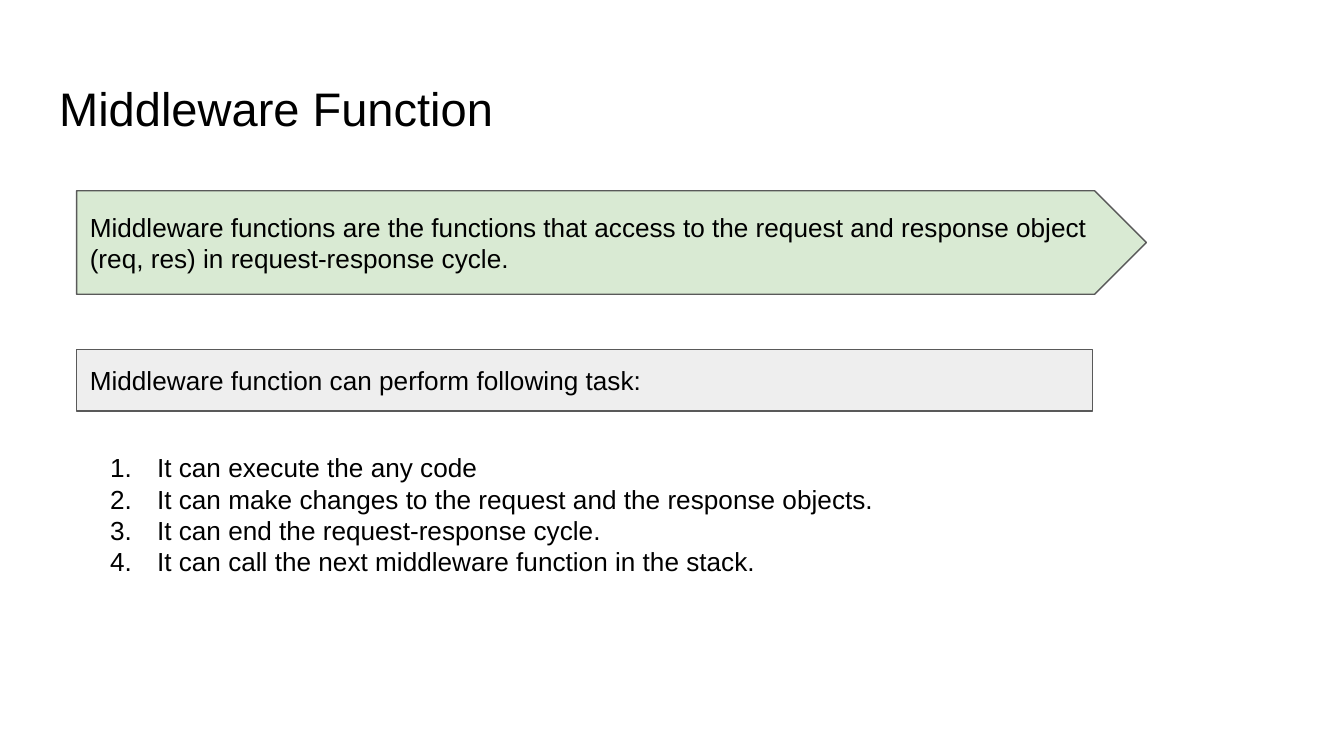
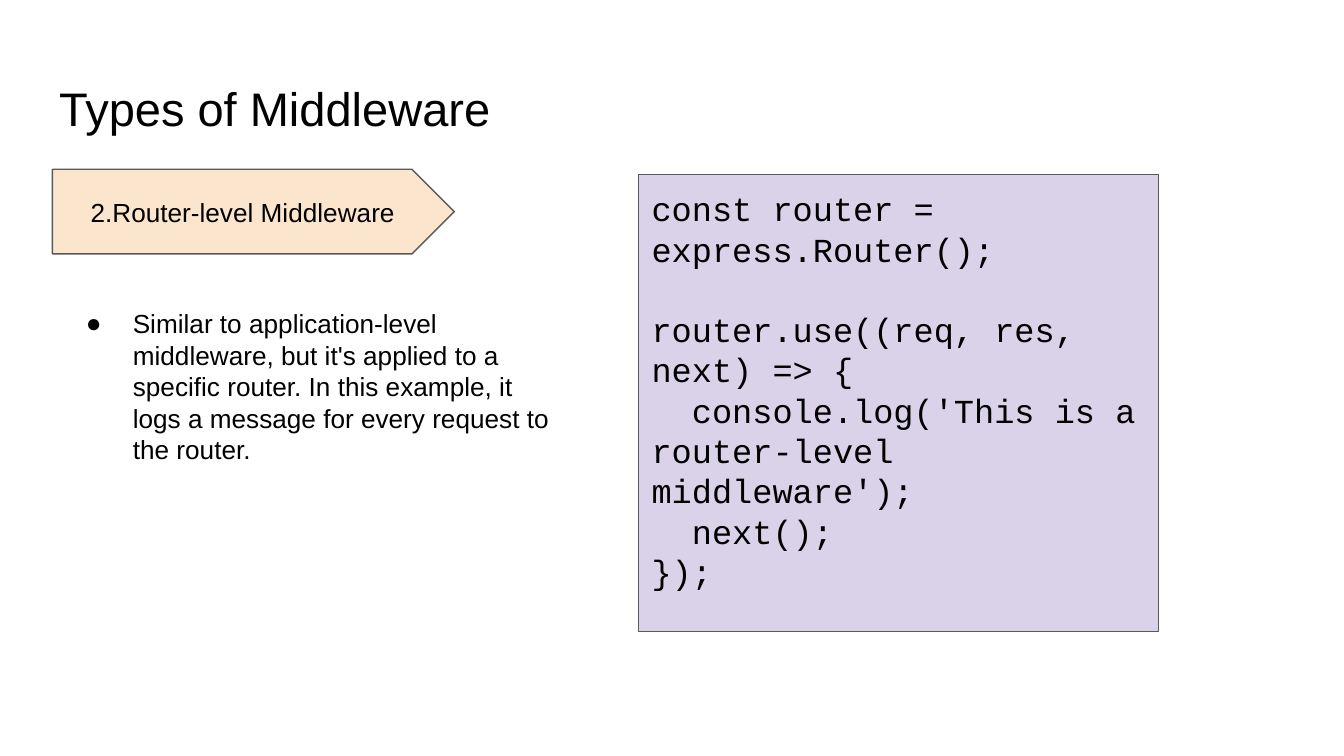
from lxml import etree
from pptx import Presentation
from pptx import util as u
from pptx.dml.color import RGBColor
from pptx.enum import shapes, text
from pptx.oxml import ns

INK, OUTLINE = "000000", "595959"
GREEN, GREY, PEACH, LILAC = "D9EAD3", "EEEEEE", "FCE5CD", "D9D2E9"
TITLE = {"name": "Arial", "size": u.Pt(25.2)}
BODY = {"name": "Arial", "size": u.Pt(14)}
CODE = {"name": "Courier New", "size": u.Pt(18)}
CODE_LINE = u.Pt(21.6)
TITLE_BOX = (0.34, 0.49, 9.32, 0.63)
ARROW, RECT = shapes.MSO_SHAPE.PENTAGON, shapes.MSO_SHAPE.RECTANGLE
LEFT, CENTER = text.PP_ALIGN.LEFT, text.PP_ALIGN.CENTER
TOP, MIDDLE = text.MSO_ANCHOR.TOP, text.MSO_ANCHOR.MIDDLE
NUMBER = ("a:buAutoNum", {"type": "arabicPeriod"})
DOT = ("a:buChar", {"char": "●"})


def color(value):
    return RGBColor.from_string(value)


def inches(box):
    return [u.Inches(length) for length in box]


def write(frame, lines, style, align=LEFT, anchor=TOP):
    """Fill a text frame with one paragraph per line and return the paragraphs."""
    settings = {"word_wrap": True, "auto_size": text.MSO_AUTO_SIZE.NONE, "vertical_anchor": anchor}
    settings.update({f"margin_{side}": u.Inches(0.1) for side in ("left", "top", "right", "bottom")})
    for name, value in settings.items():
        setattr(frame, name, value)
    frame.text = "\n".join(lines)
    for para in frame.paragraphs:
        para.alignment = align
        for span in para.runs:
            for name, value in style.items():
                setattr(span.font, name, value)
            span.font.color.rgb = color(INK)
    return frame.paragraphs


def add_page(deck, title):
    page = deck.slides.add_slide(deck.slide_layouts[5])
    heading = page.shapes.title
    heading.left, heading.top, heading.width, heading.height = inches(TITLE_BOX)
    write(heading.text_frame, [title], TITLE)
    return page


def add_panel(page, kind, box, fill, lines, style=BODY, align=LEFT, anchor=MIDDLE):
    """Add an outlined, filled shape with text and return its paragraphs."""
    panel = page.shapes.add_shape(kind, *inches(box))
    panel.shadow.inherit = False
    panel.fill.solid()
    panel.fill.fore_color.rgb = color(fill)
    panel.line.color.rgb = color(OUTLINE)
    panel.line.width = u.Pt(0.75)
    return write(panel.text_frame, lines, style, align, anchor)


def add_list(page, box, lines, marker):
    frame = page.shapes.add_textbox(*inches(box)).text_frame
    tag, attributes = marker
    for para in write(frame, lines, BODY):
        props = para._p.get_or_add_pPr()
        props.set("marL", str(u.Inches(0.5)))
        props.set("indent", str(u.Inches(-0.35)))
        tint = etree.SubElement(props, ns.qn("a:buClr"))
        etree.SubElement(tint, ns.qn("a:srgbClr"), val=INK)
        etree.SubElement(props, ns.qn("a:buFont"), typeface=BODY["name"])
        etree.SubElement(props, ns.qn(tag), attributes)


def add_function_page(deck):
    page = add_page(deck, "Middleware Function")
    add_panel(page, ARROW, (0.57, 1.42, 7.96, 0.77), GREEN, [
        "Middleware functions are the functions that access to the request "
        "and response object (req, res) in request-response cycle."])
    add_panel(page, RECT, (0.57, 2.6, 7.56, 0.46), GREY,
              ["Middleware function can perform following task:"])
    add_list(page, (0.57, 3.26, 6.68, 1.14), [
        "It can execute the any code",
        "It can make changes to the request and the response objects.",
        "It can end the request-response cycle.",
        "It can call the next middleware function in the stack.",
    ], NUMBER)


def add_types_page(deck):
    page = add_page(deck, "Types of Middleware")
    add_panel(page, ARROW, (0.39, 1.26, 2.99, 0.63), PEACH,
              ["2.Router-level Middleware"], align=CENTER)
    code = add_panel(page, RECT, (4.75, 1.3, 3.87, 3.4), LILAC, [
        "const router = express.Router();",
        "router.use((req, res, next) => {",
        "  console.log('This is a router-level middleware');",
        "  next();",
        "});",
    ], CODE, anchor=TOP)
    code[1].space_before = CODE_LINE
    add_list(page, (0.39, 2.19, 3.87, 1.38), [
        "Similar to application-level middleware, but it's applied to a specific router. "
        "In this example, it logs a message for every request to the router.",
    ], DOT)


def main():
    deck = Presentation()
    deck.slide_width = u.Inches(10)
    deck.slide_height = deck.slide_width * 9 // 16
    add_function_page(deck)
    add_types_page(deck)
    deck.save("out.pptx")


if __name__ == "__main__":
    main()
